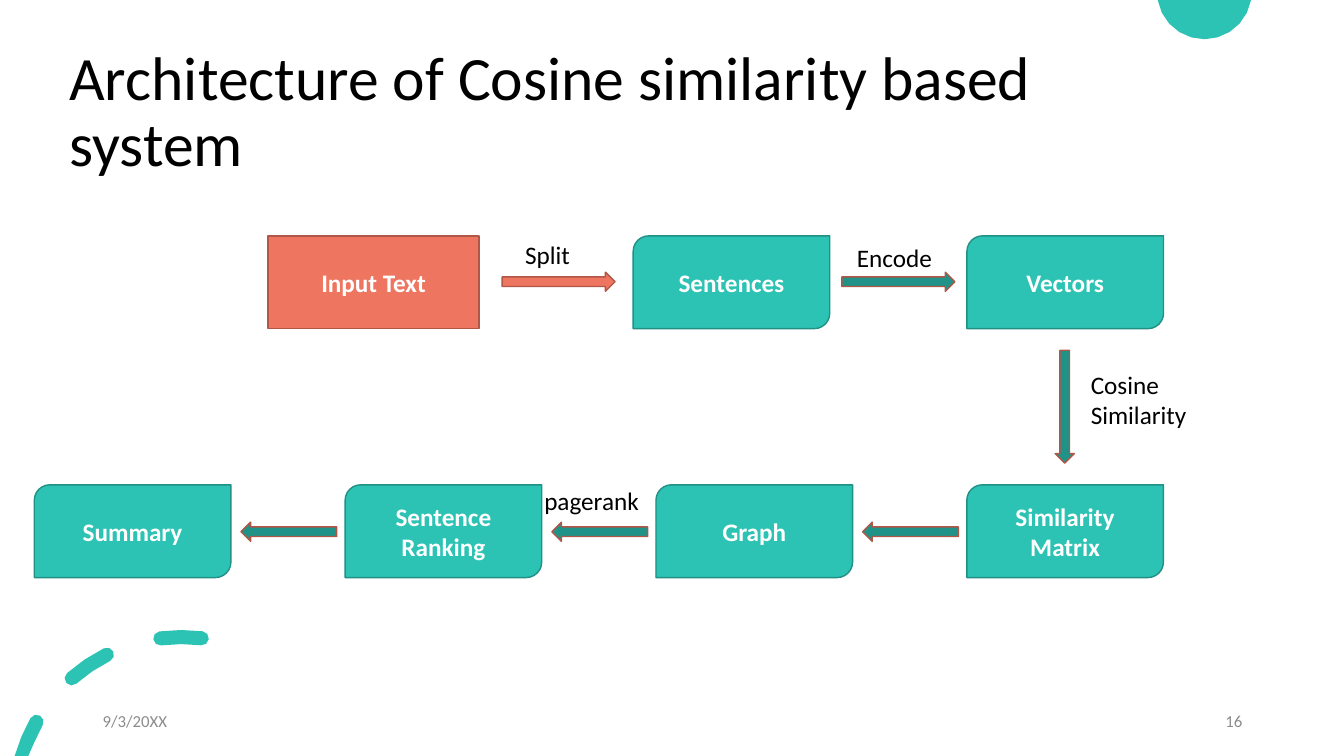
from math import cos, radians, sin

from pptx import Presentation
from pptx.dml.color import RGBColor
from pptx.enum.shapes import MSO_SHAPE
from pptx.enum.text import MSO_ANCHOR, MSO_AUTO_SIZE, PP_ALIGN
from pptx.util import Inches, Pt

RECTANGLE = MSO_SHAPE.RECTANGLE
ROUNDED = MSO_SHAPE.ROUND_2_DIAG_RECTANGLE
ARROW = MSO_SHAPE.RIGHT_ARROW
TOP, MIDDLE = MSO_ANCHOR.TOP, MSO_ANCHOR.MIDDLE
GROW = MSO_AUTO_SIZE.SHAPE_TO_FIT_TEXT
ALIGN_LEFT, ALIGN_CENTER, ALIGN_RIGHT = PP_ALIGN.LEFT, PP_ALIGN.CENTER, PP_ALIGN.RIGHT

TEAL = RGBColor(0x2C, 0xC3, 0xB4)
TEAL_EDGE = RGBColor(0x21, 0x90, 0x85)
TEAL_ARROW = RGBColor(0x21, 0x92, 0x87)
CORAL = RGBColor(0xEE, 0x76, 0x61)
CORAL_EDGE = RGBColor(0xB0, 0x57, 0x48)
BLACK = RGBColor(0, 0, 0)
WHITE = RGBColor(0xFF, 0xFF, 0xFF)
GRAY = RGBColor(0x8C, 0x8C, 0x8C)

SLIDE_HEIGHT = 7.5
prs = Presentation()
prs.slide_width = Inches(13.33)
prs.slide_height = Inches(SLIDE_HEIGHT)
slide = prs.slides.add_slide(prs.slide_layouts[6])
shapes = slide.shapes


def arc(center_x, center_y, radius, start, end, steps):
    angles = [radians(start + (end - start) * i / steps) for i in range(steps + 1)]
    return [
        (
            Inches(center_x + radius * cos(a)),
            Inches(min(max(center_y - radius * sin(a), 0), SLIDE_HEIGHT)),
        )
        for a in angles
    ]


def write(frame, text, size, color, align, anchor, bold=False):
    frame.word_wrap = True
    frame.vertical_anchor = anchor
    frame.text = text
    paragraph = frame.paragraphs[0]
    paragraph.alignment = align
    font = paragraph.runs[0].font
    font.name = "Calibri"
    font.size = Pt(size)
    font.bold = bold
    font.color.rgb = color


dome = arc(11.945, -0.08, 0.47, 190, 350, 10)

RING_X, RING_Y, RING_RADIUS, HALF_WIDTH = 1.8, 7.97, 1.65, 0.07
dashes = []
for start, end, cut_off in [(150.6, 164.1, True), (116.6, 131.3, False), (83, 97.3, False)]:
    outline = arc(RING_X, RING_Y, RING_RADIUS + HALF_WIDTH, start, end, 2)
    inner = arc(RING_X, RING_Y, RING_RADIUS - HALF_WIDTH, end, start, 2)
    for angle, turn, edge, capped in [(end, 0, inner, not cut_off), (start, 180, [], True)]:
        cap_x = RING_X + RING_RADIUS * cos(radians(angle))
        cap_y = RING_Y - RING_RADIUS * sin(radians(angle))
        if capped:
            outline += arc(cap_x, cap_y, HALF_WIDTH, angle + turn, angle + turn + 180, 4)[1:-1]
        outline += edge
    dashes.append(outline)

for outlines in [[dome], dashes]:
    builder = shapes.build_freeform(*outlines[0][0], scale=1.0)
    builder.add_line_segments(outlines[0][1:], close=True)
    for outline in outlines[1:]:
        builder.move_to(*outline[0])
        builder.add_line_segments(outline[1:], close=True)
    decoration = builder.convert_to_shape()
    decoration.shadow.inherit = False
    decoration.fill.solid()
    decoration.fill.fore_color.rgb = TEAL
    decoration.line.fill.background()

TOP_ROW, BOTTOM_ROW = 2.34, 4.81
STEP_WIDTH, STEP_HEIGHT = 1.95, 0.92
FIRST_STEP, STEP_PITCH = 0.34, 3.083
ARROW_HEIGHT = 0.19
steps = [
    ("Input Text", 2.66, TOP_ROW, 2.09, RECTANGLE, CORAL, CORAL_EDGE),
    ("Sentences", 6.28, TOP_ROW, STEP_WIDTH, ROUNDED, TEAL, TEAL_EDGE),
    ("Vectors", 9.59, TOP_ROW, STEP_WIDTH, ROUNDED, TEAL, TEAL_EDGE),
]
arrows = [
    (4.98, 2.7, 1.12, 0, CORAL),
    (8.35, 2.7, 1.12, 0, TEAL_ARROW),
    (10, 3.94, 1.12, 90, TEAL_ARROW),
]
for i, name in enumerate(["Summary", "Sentence Ranking", "Graph", "Similarity Matrix"]):
    left = FIRST_STEP + i * STEP_PITCH
    steps.append((name, left, BOTTOM_ROW, STEP_WIDTH, ROUNDED, TEAL, TEAL_EDGE))
    if i < 3:
        arrows.append((left + 2.05, 5.18, 0.95, 180, TEAL_ARROW))

for name, left, top, width, outline, fill, edge in steps:
    step = shapes.add_shape(outline, Inches(left), Inches(top), Inches(width), Inches(STEP_HEIGHT))
    step.shadow.inherit = False
    step.fill.solid()
    step.fill.fore_color.rgb = fill
    step.line.color.rgb = edge
    step.line.width = Pt(1)
    write(step.text_frame, name, 18, WHITE, ALIGN_CENTER, MIDDLE, bold=True)

for left, top, width, rotation, fill in arrows:
    arrow = shapes.add_shape(ARROW, Inches(left), Inches(top), Inches(width), Inches(ARROW_HEIGHT))
    arrow.rotation = rotation
    arrow.shadow.inherit = False
    arrow.fill.solid()
    arrow.fill.fore_color.rgb = fill
    arrow.line.color.rgb = CORAL_EDGE
    arrow.line.width = Pt(1)

title = shapes.add_textbox(Inches(0.59), Inches(0.4), Inches(11.5), Inches(1.45))
write(title.text_frame, "Architecture of Cosine similarity based system", 44, BLACK, ALIGN_LEFT, MIDDLE)
title.text_frame.paragraphs[0].line_spacing = 0.9

for text, left, align in [("9/3/20XX", 0.92, ALIGN_LEFT), ("16", 9.42, ALIGN_RIGHT)]:
    footer = shapes.add_textbox(Inches(left), Inches(6.95), Inches(3), Inches(0.4))
    write(footer.text_frame, text, 12, GRAY, align, MIDDLE)

for text, left, top, width, height in [
    ("Split", 5.11, 2.33, 1.05, 0.4),
    ("Encode", 8.4, 2.36, 1.17, 0.4),
    ("Cosine Similarity", 10.72, 3.61, 1.65, 0.71),
    ("pagerank", 5.3, 4.77, 1.37, 0.4),
]:
    label = shapes.add_textbox(Inches(left), Inches(top), Inches(width), Inches(height))
    write(label.text_frame, text, 18, BLACK, ALIGN_LEFT, TOP)
    label.text_frame.auto_size = GROW

prs.save("out.pptx")
